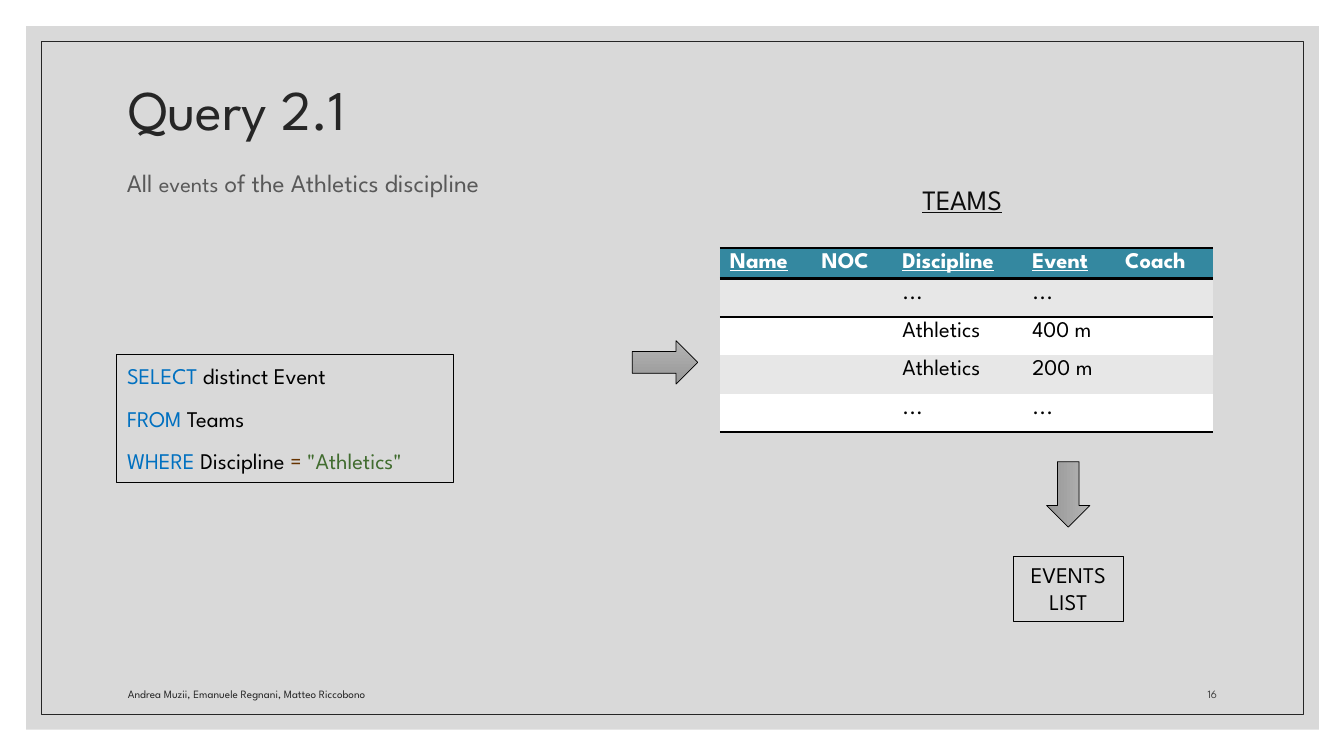
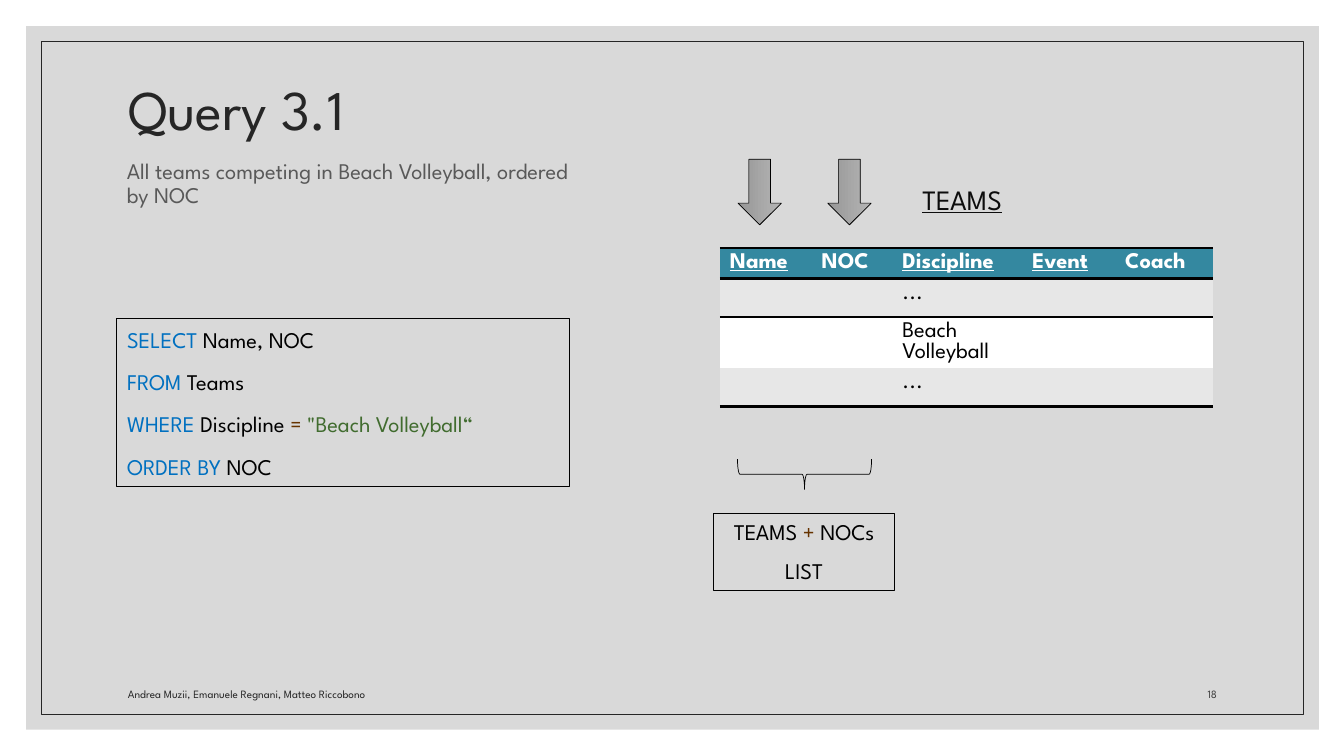
import dataclasses
import typing

import lxml.etree
import pptx
import pptx.dml.color
import pptx.enum.shapes
import pptx.enum.text
import pptx.oxml.ns
import pptx.presentation
import pptx.shapes.autoshape
import pptx.slide
import pptx.table
import pptx.text.text
import pptx.util

Inches = pptx.util.Inches
Pt = pptx.util.Pt
qn = pptx.oxml.ns.qn
Align = pptx.enum.text.PP_ALIGN
Anchor = pptx.enum.text.MSO_ANCHOR
Form = pptx.enum.shapes.MSO_SHAPE

FONT = "League Spartan"
HUES = {
    "panel": "D9D9D9",
    "title": "262626",
    "muted": "595959",
    "number": "404040",
    "label": "0D0D0D",
    "ink": "000000",
    "keyword": "0070C0",
    "sign": "663300",
    "string": "416C2F",
    "head": "3488A0",
    "band": "E7E7E7",
    "white": "FFFFFF",
    "light": "B4B4B4",
    "dark": "979797",
}
PLAIN_GRID = "{2D5ABB26-0587-4C30-8999-92F81FD0307C}"
AUTHORS = "Andrea Muzii, Emanuele Regnani, Matteo Riccobono"
HEADS = ("Name", "NOC", "Discipline", "Event", "Coach")
KEYS = ("Name", "Discipline", "Event")
WIDTHS = (0.91, 0.8, 1.29, 0.92, 0.97)
ROW = 0.29
ARROW = (0.65, 0.43)


class Box(typing.NamedTuple):
    left: float
    top: float
    width: float
    height: float

    def place(self) -> list[int]:
        return [Inches(side) for side in self]


class Bit(typing.NamedTuple):
    text: str
    hue: str = "ink"
    size: float | None = None


Lines = list[list[Bit]]


@dataclasses.dataclass(frozen=True)
class Look:
    size: float
    align: Align = Align.LEFT
    anchor: Anchor = Anchor.TOP
    lead: float = 1.0
    gap: float = 0
    under: bool = False
    bold: bool = False


@dataclasses.dataclass(frozen=True)
class Arrow:
    left: float
    top: float
    turn: float = 0


@dataclasses.dataclass(frozen=True)
class Page:
    number: int
    title: str
    topic: list[Bit]
    topic_box: Box
    query: Lines
    query_box: Box
    rows: list[tuple[str, ...]]
    arrows: list[Arrow]
    result: Lines
    result_box: Box
    brace: Box | None = None


TITLE = Look(40, anchor=Anchor.MIDDLE, lead=0.9)
TOPIC = Look(16, anchor=Anchor.MIDDLE, lead=0.9)
LABEL = Look(20, anchor=Anchor.MIDDLE, lead=0.9, under=True)
QUERY = Look(16, lead=1.1, gap=9)
RESULT = Look(16, align=Align.CENTER, gap=9)
FOOT = Look(8, anchor=Anchor.BOTTOM)
FOOT_END = Look(8, align=Align.RIGHT, anchor=Anchor.BOTTOM)


def clause(word: str, rest: str, value: str = "") -> list[Bit]:
    bits = [Bit(word, "keyword"), Bit(rest)]
    if value:
        bits += [Bit("= ", "sign"), Bit(value, "string")]
    return bits


PAGES = [
    Page(
        number=16,
        title="Query 2.1",
        topic=[
            Bit("All ", "muted", 18),
            Bit("events", "muted"),
            Bit(" of the Athletics discipline", "muted", 18),
        ],
        topic_box=Box(1.16, 1.45, 5.85, 0.75),
        query=[
            clause("SELECT", " distinct Event"),
            clause("FROM", " Teams"),
            clause("WHERE", " Discipline ", '"Athletics"'),
        ],
        query_box=Box(1.16, 3.52, 3.34, 1.27),
        rows=[
            ("", "", "...", "...", ""),
            ("", "", "Athletics", "400 m", ""),
            ("", "", "Athletics", "200 m", ""),
            ("", "", "...", "...", ""),
        ],
        arrows=[Arrow(10.27, 4.69, 90), Arrow(6.27, 3.38)],
        result=[[Bit("EVENTS LIST")]],
        result_box=Box(10.05, 5.52, 1.09, 0.65),
    ),
    Page(
        number=18,
        title="Query 3.1",
        topic=[Bit("All teams competing in Beach Volleyball, ordered by NOC", "muted")],
        topic_box=Box(1.16, 1.45, 4.74, 0.75),
        query=[
            clause("SELECT", " Name, NOC"),
            clause("FROM", " Teams"),
            clause("WHERE", " Discipline ", '"Beach Volleyball“'),
            clause("ORDER BY", " NOC"),
        ],
        query_box=Box(1.16, 3.16, 4.49, 1.67),
        rows=[
            ("", "", "...", "", ""),
            ("", "", "Beach Volleyball", "", ""),
            ("", "", "...", "", ""),
        ],
        arrows=[Arrow(7.21, 1.69, 90), Arrow(8.1, 1.69, 90)],
        result=[[Bit("TEAMS "), Bit("+ ", "sign"), Bit("NOCs")], [Bit("LIST")]],
        result_box=Box(7.08, 5.09, 1.79, 0.77),
        brace=Box(7.83, 4.04, 0.3, 1.33),
    ),
]


def tint(name: str) -> pptx.dml.color.RGBColor:
    return pptx.dml.color.RGBColor.from_string(HUES[name])


def fill_line(para: pptx.text.text._Paragraph, bits: list[Bit], look: Look) -> None:
    font = para.font
    font.name, font.size = FONT, Pt(look.size)
    font.bold, font.underline = look.bold, look.under
    font.color.rgb = tint(bits[0].hue)
    para.alignment, para.line_spacing = look.align, look.lead
    para.space_before = Pt(look.gap)
    for bit in bits:
        run = para.add_run()
        run.text = bit.text
        if bit.hue != bits[0].hue:
            run.font.color.rgb = tint(bit.hue)
        if bit.size:
            run.font.size = Pt(bit.size)


def write(frame: pptx.text.text.TextFrame, lines: Lines, look: Look) -> None:
    frame.word_wrap = True
    frame.auto_size = pptx.enum.text.MSO_AUTO_SIZE.NONE
    frame.vertical_anchor = look.anchor
    for index, bits in enumerate(lines):
        para = frame.add_paragraph() if index else frame.paragraphs[0]
        fill_line(para, bits, look)


def strip_marks(frame: pptx.text.text.TextFrame) -> None:
    for para in frame.paragraphs:
        props = para._p.get_or_add_pPr()
        props.set("marL", "0")
        props.set("indent", "0")
        props.find(qn("a:defRPr")).addprevious(lxml.etree.Element(qn("a:buNone")))


def add_text(slide: pptx.slide.Slide, box: Box, lines: Lines, look: Look) -> None:
    write(slide.shapes.add_textbox(*box.place()).text_frame, lines, look)


def add_form(
    slide: pptx.slide.Slide, form: Form, box: Box, edge: float, hue: str = "ink"
) -> pptx.shapes.autoshape.Shape:
    shape = slide.shapes.add_shape(form, *box.place())
    shape.shadow.inherit = False
    shape.fill.background()
    shape.line.color.rgb = tint(hue)
    shape.line.width = Pt(edge)
    return shape


def add_arrow(slide: pptx.slide.Slide, arrow: Arrow) -> None:
    box = Box(arrow.left, arrow.top, *ARROW)
    shape = add_form(slide, Form.RIGHT_ARROW, box, 0.5)
    shape.rotation = arrow.turn
    shape.fill.gradient()
    shape.fill.gradient_angle = 270
    for stop, hue in zip(shape.fill.gradient_stops, ("light", "dark")):
        stop.color.rgb = tint(hue)


def rule_cell(cell: pptx.table._Cell, sides: str) -> None:
    props = cell._tc.get_or_add_tcPr()
    for index, side in enumerate(sides):
        line = lxml.etree.Element(qn(f"a:ln{side}"), w=str(Pt(2)))
        solid = lxml.etree.SubElement(line, qn("a:solidFill"))
        lxml.etree.SubElement(solid, qn("a:srgbClr"), val=HUES["ink"])
        props.insert(index, line)


def add_grid(slide: pptx.slide.Slide, rows: list[tuple[str, ...]]) -> None:
    grid = [HEADS, *rows]
    box = Box(7.14, 2.46, sum(WIDTHS), ROW * len(grid))
    table = slide.shapes.add_table(len(grid), len(HEADS), *box.place()).table
    table._tbl.tblPr.find(qn("a:tableStyleId")).text = PLAIN_GRID
    for column, width in zip(table.columns, WIDTHS):
        column.width = Inches(width)
    for y, row in enumerate(grid):
        for x, text in enumerate(row):
            cell = table.cell(y, x)
            cell.fill.solid()
            cell.fill.fore_color.rgb = tint("head" if y == 0 else "band" if y % 2 else "white")
            look = Look(16, bold=y == 0, under=y == 0 and text in KEYS)
            bits = [Bit(text, "ink" if y else "white")]
            para = cell.text_frame.paragraphs[0]
            fill_line(para, bits, look)
            if not text:
                end = lxml.etree.SubElement(para._p, qn("a:endParaRPr"), sz="1600")
                lxml.etree.SubElement(end, qn("a:latin"), typeface=FONT)
            rule_cell(cell, "TB" if y == 0 else "T" if y == 1 else "B" if y == len(rows) else "")


def add_frame(deck: pptx.presentation.Presentation, slide: pptx.slide.Slide) -> None:
    panel = add_form(slide, Form.RECTANGLE, Box(0.26, 0.26, 12.82, 6.98), 0.5)
    panel.fill.solid()
    panel.fill.fore_color.rgb = tint("panel")
    panel.line.fill.background()
    border = add_form(slide, Form.RECTANGLE, Box(0.41, 0.41, 12.52, 6.68), 0.5, "title")
    for index, shape in enumerate((panel, border)):
        shape.element.nvSpPr.cNvPr.set("id", str(100 + index))
        deck.slide_master.shapes.element.insert(2 + index, shape.element)


def set_box(shape: pptx.shapes.autoshape.Shape, box: Box) -> None:
    shape.left, shape.top, shape.width, shape.height = box.place()


def add_page(slide: pptx.slide.Slide, page: Page) -> None:
    title, body = slide.shapes.title, slide.placeholders[1]
    set_box(title, Box(1.17, 0.7, 3.23, 1.5))
    write(title.text_frame, [[Bit(page.title, "title")]], TITLE)
    title.text_frame.paragraphs[0].add_line_break()
    set_box(body, page.query_box)
    body.line.color.rgb = tint("ink")
    body.line.width = Pt(0.75)
    write(body.text_frame, page.query, QUERY)
    strip_marks(body.text_frame)
    add_text(slide, Box(1.17, 6.6, 6.36, 0.4), [[Bit(AUTHORS, "title")]], FOOT)
    add_text(slide, Box(11.25, 6.6, 0.92, 0.4), [[Bit(str(page.number), "number")]], FOOT_END)
    add_text(slide, page.topic_box, [page.topic], TOPIC)
    add_text(slide, Box(9.05, 1.69, 1.07, 0.61), [[Bit("TEAMS", "label")]], LABEL)
    add_grid(slide, page.rows)
    for arrow in page.arrows:
        add_arrow(slide, arrow)
    result = add_form(slide, Form.RECTANGLE, page.result_box, 0.75)
    write(result.text_frame, page.result, RESULT)
    if page.brace:
        add_form(slide, Form.LEFT_BRACE, page.brace, 0.5).rotation = 270


def main() -> None:
    deck = pptx.Presentation()
    deck.slide_width, deck.slide_height = Inches(13.33), Inches(7.5)
    slides = [deck.slides.add_slide(deck.slide_layouts[1]) for _ in PAGES]
    add_frame(deck, slides[0])
    for slide, page in zip(slides, PAGES):
        add_page(slide, page)
    deck.save("out.pptx")


if __name__ == "__main__":
    main()
